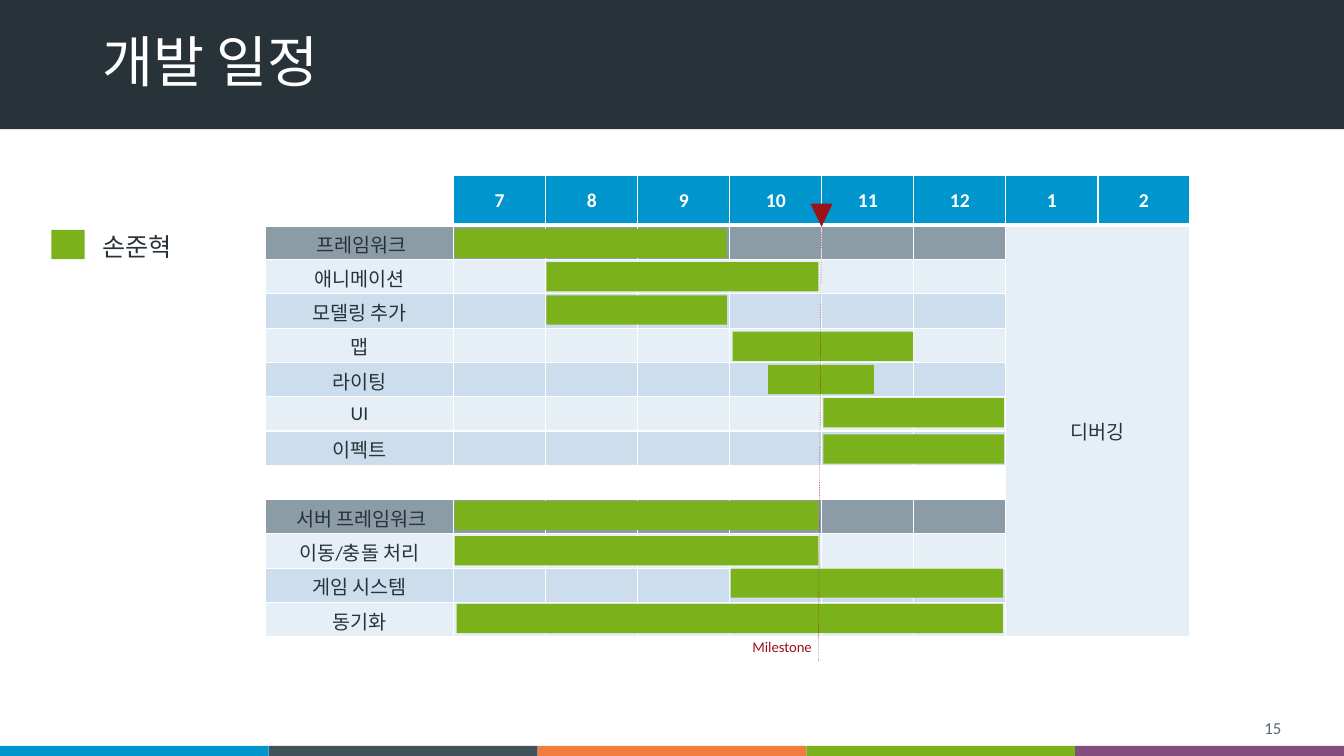
"""Build the development schedule slide as a Gantt chart."""
from lxml.etree import SubElement, fromstring
from pptx import Presentation
from pptx.dml.color import RGBColor
from pptx.enum.dml import MSO_LINE
from pptx.enum.shapes import MSO_CONNECTOR as CONN, MSO_SHAPE as SHAPE
from pptx.enum.text import MSO_ANCHOR as ANCHOR, PP_ALIGN as ALIGN
from pptx.oxml.ns import nsdecls, qn
from pptx.util import Pt

WHITE, DARK, BLUE, GREEN, RED = "FFFFFF", "273339", "0095CD", "7BB21B", "9D1217"
GREY, PALE, LIGHT = "8C9CA6", "E7EFF6", "CCDDED"

MONTHS = ["7", "8", "9", "10", "11", "12", "1", "2"]
TASKS = [
    (" 프레임워크", GREY), ("애니메이션", PALE), ("모델링 추가", LIGHT), ("맵", PALE),
    ("라이팅", LIGHT), ("UI", PALE), ("이펙트", LIGHT), ("", None),
    (" 서버 프레임워크", GREY), ("이동/충돌 처리", PALE), ("게임 시스템", LIGHT), ("동기화", PALE),
]
BARS = [
    (324.7, 163.4, 194.4), (390.3, 187.2, 194.4), (390.3, 211, 128.9),
    (523.4, 236.9, 128.9), (548.6, 260.6, 75.6), (588.2, 284.4, 128.9),
    (588.2, 310.3, 128.9), (324.7, 357.8, 259.9), (324.7, 383, 259.9),
    (522, 406.1, 194.4), (326.2, 431.3, 390.2),
]
BAR_HEIGHT = 20.9
STRIPES = [BLUE, "40515A", "F17C3F", GREEN, "814E7E"]


def rgb(value):
    return RGBColor.from_string(value)


def write(tf, text, size=14, color=DARK, bold=False, align=ALIGN.LEFT, spacing=None, font="Calibri"):
    p = tf.paragraphs[0]
    p.alignment = align
    if spacing:
        p.line_spacing = spacing
    if not text:
        SubElement(p._p, qn("a:endParaRPr"), sz=str(size * 100))
        return
    r = p.add_run()
    r.text = text
    r.font.size, r.font.name, r.font.bold = Pt(size), font, bold
    r.font.color.rgb = rgb(color)


class Deck:
    def __init__(self, width, height):
        self.prs = Presentation()
        self.prs.slide_width, self.prs.slide_height = Pt(width), Pt(height)
        self.s = self.prs.slides.add_slide(self.prs.slide_layouts[6])

    def shape(self, x, y, w, h, color, kind=SHAPE.RECTANGLE, rotation=0):
        sp = self.s.shapes.add_shape(kind, Pt(x), Pt(y), Pt(w), Pt(h))
        sp.shadow.inherit = False
        sp.fill.solid()
        sp.fill.fore_color.rgb = rgb(color)
        sp.line.fill.background()
        sp.rotation = rotation

    def text(self, x, y, w, h, text, anchor=ANCHOR.TOP, left=7.2, right=7.2, **fmt):
        tf = self.s.shapes.add_textbox(Pt(x), Pt(y), Pt(w), Pt(h)).text_frame
        tf.word_wrap = True
        tf.vertical_anchor = anchor
        tf.margin_left, tf.margin_right = Pt(left), Pt(right)
        write(tf, text, **fmt)

    def line(self, x1, y1, x2, y2, color, width):
        c = self.s.shapes.add_connector(CONN.STRAIGHT, Pt(x1), Pt(y1), Pt(x2), Pt(y2))
        c.line.color.rgb = rgb(color)
        c.line.width = Pt(width)
        c.line.dash_style = MSO_LINE.DASH
        SubElement(c._element.spPr, qn("a:effectLst"))

    def table(self, x, y, widths, heights):
        frame = self.s.shapes.add_table(
            len(heights), len(widths), Pt(x), Pt(y), Pt(sum(widths)), Pt(sum(heights)))
        t = frame.table
        t.first_row = t.horz_banding = False
        for column, width in zip(t.columns, widths):
            column.width = Pt(width)
        for row, height in zip(t.rows, heights):
            row.height = Pt(height)
        return t

    def cell(self, cell, text, fill, top=1, bottom=1, **fmt):
        cell.margin_left = cell.margin_right = Pt(5.04)
        cell.margin_top = cell.margin_bottom = Pt(2.88)
        cell.vertical_anchor = ANCHOR.MIDDLE
        write(cell.text_frame, text, align=ALIGN.CENTER, **fmt)
        if fill:
            cell.fill.solid()
            cell.fill.fore_color.rgb = rgb(fill)
        else:
            cell.fill.background()
        tcPr = cell._tc.get_or_add_tcPr()
        for i, (side, width) in enumerate(zip("LRTB", (1, 1, top, bottom))):
            tcPr.insert(i, fromstring(
                f'<a:ln{side} {nsdecls("a")} w="{Pt(width)}"><a:solidFill>'
                f'<a:srgbClr val="{WHITE}"/></a:solidFill></a:ln{side}>'))


def add_schedule(deck):
    t = deck.table(189.5, 125.6, [134.6] + [65.75] * 8, [35.3] + [24.5] * len(TASKS))
    for col, month in enumerate([""] + MONTHS):
        deck.cell(t.cell(0, col), month, BLUE if month else None, bottom=3, color=WHITE, bold=True)
    t.cell(1, 7).merge(t.cell(len(TASKS), 8))
    for row, (task, fill) in enumerate(TASKS, 1):
        for col in range(9):
            debugging = col > 6
            label = task if col == 0 else "디버깅" if (row, col) == (1, 7) else ""
            deck.cell(t.cell(row, col), label, PALE if debugging else fill, top=3 if row == 1 else 1)


def main():
    deck = Deck(960, 540)
    deck.shape(0, -0.7, 960, 92.9, DARK)
    stripe = 960 / len(STRIPES)
    for i, color in enumerate(STRIPES):
        deck.shape(i * stripe, 532.8, stripe, 7.2, color)
    deck.text(66.2, 19.4, 828, 53.3, "개발 일정", anchor=ANCHOR.MIDDLE,
              size=39.6, color=WHITE, spacing=0.9)
    deck.text(706.3, 509, 216, 22.3, "15", anchor=ANCHOR.MIDDLE,
              size=12, color="576973", align=ALIGN.RIGHT)
    add_schedule(deck)
    for x, y, width in BARS:
        deck.shape(x, y, width, BAR_HEIGHT, GREEN)
    deck.shape(578.9, 145.4, 15.8, 16.6, RED, SHAPE.ISOSCELES_TRIANGLE, 180)
    deck.text(529.2, 452.2, 62.6, 20.2, "Milestone", left=0, right=11.9,
              size=10.5, color=RED, align=ALIGN.RIGHT)
    deck.line(586.8, 162, 584.6, 472.3, RED, 0.25)
    deck.shape(36.7, 164.2, 23.8, BAR_HEIGHT, GREEN)
    deck.text(66.2, 162, 76.3, 28.8, "손준혁", size=18)
    deck.prs.save("out.pptx")


if __name__ == "__main__":
    main()
